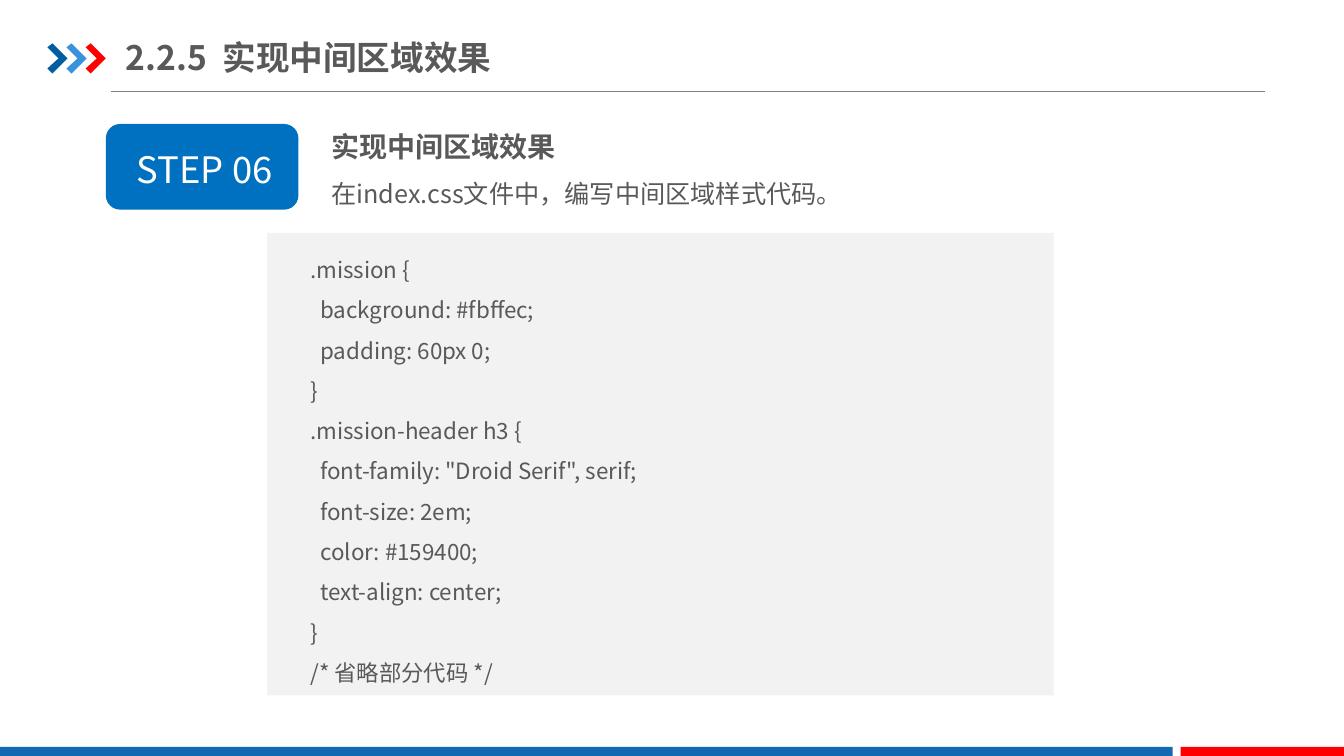
import pptx
import pptx.util
import pptx.dml.color
import pptx.enum.shapes
import pptx.enum.text
import pptx.oxml
import pptx.oxml.ns
from pptx.util import Inches

FONT = "Noto Sans CJK SC"
COLORS = {
    "rule": "808080",
    "navy": "005DA2",
    "sky": "3992DB",
    "red": "FF0000",
    "footer": "1369B2",
    "badge": "0070C0",
    "panel": "F2F2F2",
    "text": "595959",
    "white": "FFFFFF",
}
CODE = """\
.mission {
  background: #fbffec;
  padding: 60px 0;
}
.mission-header h3 {
  font-family: "Droid Serif", serif;
  font-size: 2em;
  color: #159400;
  text-align: center;
}
/* 省略部分代码 */"""


def paint(shape, color):
    """Give a shape a flat fill without outline or shadow."""
    shape.shadow.inherit = False
    shape.fill.solid()
    shape.fill.fore_color.rgb = pptx.dml.color.RGBColor.from_string(COLORS[color])
    shape.line.fill.background()


def write(shape, lines, color="text", frame_format=None, paragraph_format=None):
    """Fill a shape with lines, each given as (text, size, bold)."""
    text_frame = shape.text_frame
    for name, value in {"word_wrap": True, **(frame_format or {})}.items():
        setattr(text_frame, name, value)
    for index, (text, size, bold) in enumerate(lines):
        paragraph = text_frame.add_paragraph() if index else text_frame.paragraphs[0]
        for name, value in (paragraph_format or {}).items():
            setattr(paragraph, name, value)
        run = paragraph.add_run()
        run.text = text
        font_format = {"name": FONT, "size": pptx.util.Pt(size), "bold": bold}
        for name, value in font_format.items():
            setattr(run.font, name, value)
        run.font.color.rgb = pptx.dml.color.RGBColor.from_string(COLORS[color])
        east_asian = pptx.oxml.parse_xml(
            f'<a:ea {pptx.oxml.ns.nsdecls("a")} typeface="{FONT}"/>')
        run.font._element.find(pptx.oxml.ns.qn("a:latin")).addnext(east_asian)


presentation = pptx.Presentation()
presentation.slide_width = Inches(13.33)
presentation.slide_height = Inches(7.5)
slide = presentation.slides.add_slide(presentation.slide_layouts[6])
shapes = slide.shapes

# Header rule
rule = shapes.add_connector(
    pptx.enum.shapes.MSO_CONNECTOR.STRAIGHT,
    Inches(1.1), Inches(0.91), Inches(12.55), Inches(0.91))
rule.line.color.rgb = pptx.dml.color.RGBColor.from_string(COLORS["rule"])
rule.line.width = pptx.util.Pt(0.75)
rule._element.spPr.append(
    pptx.oxml.parse_xml(f'<a:effectLst {pptx.oxml.ns.nsdecls("a")}/>'))

# Header chevrons
chevron_points = [(0, 0.04), (0.05, 0), (0.2, 0.15), (0.05, 0.3), (0, 0.25), (0.11, 0.15)]
for index, color in enumerate(["navy", "sky", "red"]):
    left = 0.47 + 0.19 * index
    corners = [(Inches(left + x), Inches(0.43 + y)) for x, y in chevron_points]
    builder = shapes.build_freeform(*corners[0])
    builder.add_line_segments(corners[1:], close=True)
    paint(builder.convert_to_shape(), color)

# Footer bars, step badge and code panel
rectangle = pptx.enum.shapes.MSO_SHAPE.RECTANGLE
rounded = pptx.enum.shapes.MSO_SHAPE.ROUNDED_RECTANGLE
blocks = {}
for block, kind, color, box in [
    ("footer main", rectangle, "footer", (0, 7.41, 11.63, 0.09)),
    ("footer accent", rectangle, "red", (11.71, 7.41, 1.62, 0.09)),
    ("step badge", rounded, "badge", (1.05, 1.23, 1.91, 0.85)),
    ("code panel", rectangle, "panel", (2.65, 2.31, 7.8, 4.59)),
]:
    blocks[block] = shapes.add_shape(kind, *map(Inches, box))
    paint(blocks[block], color)

middle = pptx.enum.text.MSO_ANCHOR.MIDDLE
write(blocks["step badge"], [("STEP 06", 26, False)], color="white",
      frame_format={"vertical_anchor": middle, "margin_left": Inches(0.15),
                    "margin_top": Inches(0.09)},
      paragraph_format={"alignment": pptx.enum.text.PP_ALIGN.CENTER})

# Text boxes
growing = {"auto_size": pptx.enum.text.MSO_AUTO_SIZE.SHAPE_TO_FIT_TEXT}
spaced = {"line_spacing": 1.5}

code_box = shapes.add_textbox(Inches(2.98), Inches(2.36), Inches(7.46), Inches(4.54))
write(code_box, [(line, 16, False) for line in CODE.splitlines()],
      frame_format=growing, paragraph_format=spaced)

step_box = shapes.add_textbox(Inches(3.19), Inches(1.07), Inches(9.46), Inches(1.06))
write(step_box,
      [("实现中间区域效果", 20, True),
       ("在index.css文件中，编写中间区域样式代码。", 18, False)],
      frame_format=growing, paragraph_format=spaced)

title_box = shapes.add_textbox(Inches(1.25), Inches(0.29), Inches(5.34), Inches(0.55))
write(title_box, [("2.2.5  实现中间区域效果", 24, True)],
      frame_format={"vertical_anchor": middle, "margin_left": 0, "margin_right": 0,
                    "margin_top": Inches(0.07), "margin_bottom": Inches(0.07)})

presentation.save("out.pptx")
